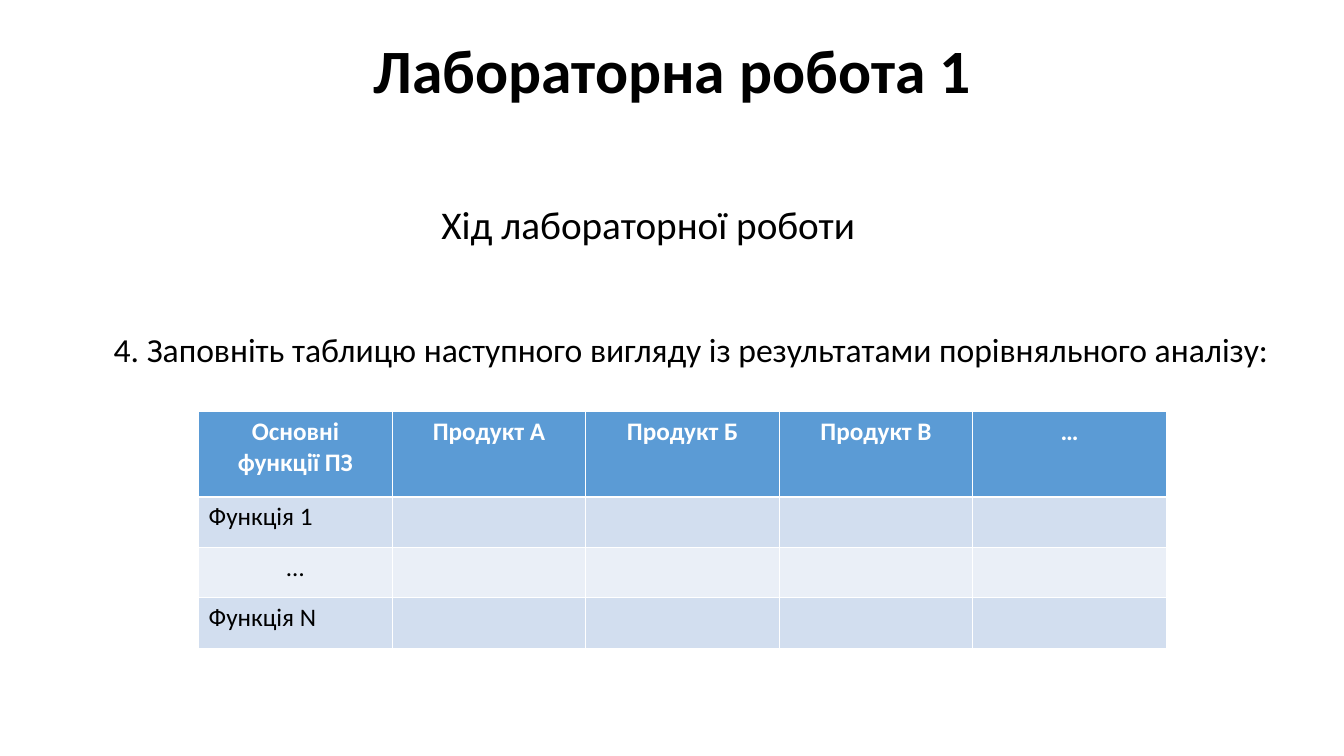
"""Build the laboratory work slide with a blank comparison table."""
from pptx import Presentation
from pptx.dml.color import RGBColor
from pptx.enum.text import MSO_ANCHOR, PP_ALIGN
from pptx.util import Inches, Pt

COLORS = {"text": "000000", "header_text": "FFFFFF", "header": "5B9BD5",
          "odd_row": "D2DEEF", "even_row": "EAEFF7"}


def set_font(paragraph, size, color="text", bold=False):
    font = paragraph.font
    font.name = "Calibri"
    font.size = Pt(size)
    font.bold = bold
    font.color.rgb = RGBColor.from_string(COLORS[color])


deck = Presentation()
deck.slide_width = Inches(13.33)
deck.slide_height = Inches(7.5)
page = deck.slides.add_slide(deck.slide_layouts[5])

title = page.shapes.title
title.left, title.top = Inches(0.92), Inches(0)
title.width, title.height = Inches(11.5), Inches(1.45)
title.text_frame.text = "Лабораторна робота 1"
title.text_frame.vertical_anchor = MSO_ANCHOR.MIDDLE
heading = title.text_frame.paragraphs[0]
heading.alignment = PP_ALIGN.CENTER
heading.line_spacing = 0.9
set_font(heading, 44, bold=True)

texts = [
    ("Хід лабораторної роботи", 28, 4.28, 1.94, 4.35, 0.57),
    ("4. Заповніть таблицю наступного вигляду із результатами порівняльного аналізу:",
     24, 1.03, 3.21, 11.76, 0.91),
]
for text, size, left, top, width, height in texts:
    box = page.shapes.add_textbox(Inches(left), Inches(top), Inches(width), Inches(height))
    box.text_frame.word_wrap = True
    box.text_frame.text = text
    set_font(box.text_frame.paragraphs[0], size)

rows = [
    ["Основні функції ПЗ", "Продукт А", "Продукт Б", "Продукт В", "…"],
    ["Функція 1", "", "", "", ""],
    ["…", "", "", "", ""],
    ["Функція N", "", "", "", ""],
]
table = page.shapes.add_table(len(rows), len(rows[0]), Inches(1.97), Inches(4.08),
                              Inches(9.6), Inches(2.35)).table
for row_index, labels in enumerate(rows):
    is_header = row_index == 0
    table.rows[row_index].height = Inches(0.85 if is_header else 0.5)
    fill = "header" if is_header else "odd_row" if row_index % 2 else "even_row"
    for column_index, label in enumerate(labels):
        cell = table.cell(row_index, column_index)
        cell.fill.solid()
        cell.fill.fore_color.rgb = RGBColor.from_string(COLORS[fill])
        cell.text = label
        para = cell.text_frame.paragraphs[0]
        centered = is_header or label == "…"
        para.alignment = PP_ALIGN.CENTER if centered else PP_ALIGN.LEFT
        set_font(para, 18, "header_text" if is_header else "text", is_header)

deck.save("out.pptx")
